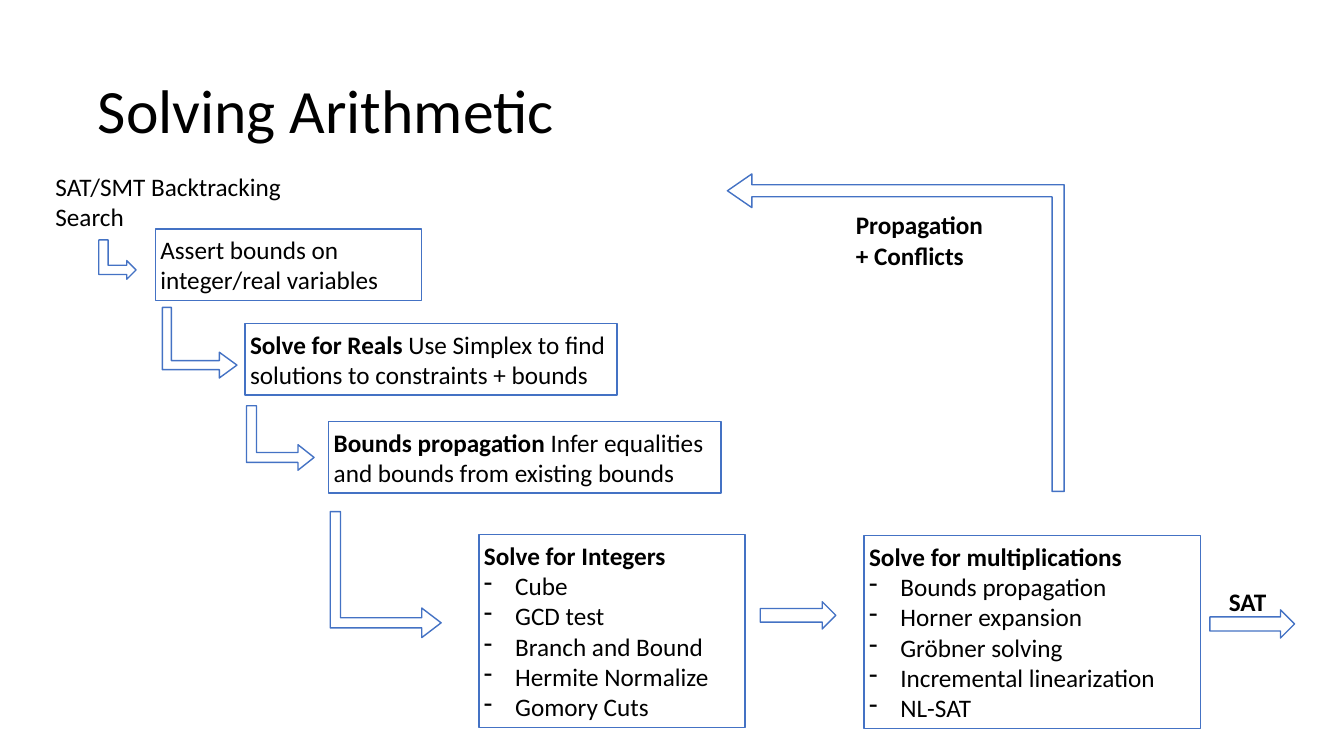
import pptx
import pptx.util
import pptx.dml.color
import pptx.enum.shapes
import pptx.enum.text
import pptx.oxml

BLACK = pptx.dml.color.RGBColor(0x00, 0x00, 0x00)
WHITE = pptx.dml.color.RGBColor(0xFF, 0xFF, 0xFF)
BLUE = pptx.dml.color.RGBColor(0x44, 0x72, 0xC4)
FONT = "Calibri"
KIND = pptx.enum.shapes.MSO_SHAPE
MID = pptx.enum.text.MSO_ANCHOR.MIDDLE
GROW = pptx.enum.text.MSO_AUTO_SIZE.SHAPE_TO_FIT_TEXT

# The grid has square cells, 13.33 across and 7.5 down
COLS, ROWS = 13.33, 7.5
CELL = pptx.util.Inches(1)
INSET, INDENT = 0.05, 0.31
TWO, SIX = 0.71, 1.92  # heights of two and six lines of text

# Steps: left, top, width, height, bold lead, plain rest, bullets
STEPS = [
    (1.54, 2.27, 2.64, TWO, "", "Assert bounds on integer/real variables", []),
    (2.43, 3.21, 3.69, TWO, "Solve for Reals",
     " Use Simplex to find solutions to constraints + bounds", []),
    (3.26, 4.18, 3.89, TWO, "Bounds propagation",
     " Infer equalities and bounds from existing bounds", []),
    (4.75, 5.3, 2.64, SIX, "Solve for Integers", "",
     ["Cube", "GCD test", "Branch and Bound", "Hermite Normalize", "Gomory Cuts"]),
    (8.57, 5.31, 3.34, SIX, "Solve for multiplications", "",
     ["Bounds propagation", "Horner expansion", "Gröbner solving",
      "Incremental linearization", "NL-SAT"]),
]

# Arrows: kind, left, top, width, height, turn, adjustments
BENT, RIGHT = KIND.BENT_UP_ARROW, KIND.RIGHT_ARROW
ARROWS = [
    (BENT, 0.97, 2.39, 0.39, 0.37, 90, ()),
    (BENT, 1.63, 3.03, 0.7, 0.74, 90, (0.128, 0.182, 0.25)),
    (BENT, 2.46, 4.01, 0.64, 0.67, 90, (0.154, 0.198, 0.25)),
    (BENT, 3.2, 5.15, 1.25, 1.1, 90, (0.092, 0.133, 0.175)),
    (RIGHT, 7.54, 5.97, 0.75, 0.27, 0, ()),
    (BENT, 7.31, 1.63, 3.15, 3.34, 270, (0.038, 0.053, 0.077)),
    (RIGHT, 12, 6.05, 0.84, 0.28, 0, ()),
]

# Labels: left, top, width, height, lines, bold, side inset, wrap
LABELS = [
    (0.5, 1.65, 2.4, TWO, ["SAT/SMT Backtracking", "Search"], False, INSET, False),
    (8.39, 2.03, 2.06, TWO, ["Propagation", "+ Conflicts"], True, 0.1, True),
    (12.09, 5.77, 0.84, 0.4, ["SAT"], True, 0.1, True),
]


def span(*cells):
    return [round(n * CELL) for n in cells]


def style(para, size=18, bold=None):
    para.alignment = pptx.enum.text.PP_ALIGN.LEFT
    font = para.font
    font.name, font.size, font.bold = FONT, pptx.util.Pt(size), bold
    font.color.rgb = BLACK


def frame(shape, side=INSET, wrap=True):
    text = shape.text_frame
    text.word_wrap = wrap
    text.margin_left, text.margin_right = span(side, side)
    text.margin_top, text.margin_bottom = span(INSET, INSET)
    return text


def outline(kind, *place):
    shape = slide.shapes.add_shape(kind, *span(*place))
    shape.shadow.inherit = False
    shape.fill.solid()
    shape.fill.fore_color.rgb = WHITE
    shape.line.color.rgb = BLUE
    shape.line.width = pptx.util.Pt(1)
    return shape


def bullet(para):
    props = para._p.get_or_add_pPr()
    gap = span(INDENT)[0]
    props.set("marL", str(gap))
    props.set("indent", str(-gap))
    props.append(pptx.oxml.parse_xml(
        '<a:buChar xmlns:a="http://schemas.openxmlformats.org/drawingml/2006/main"'
        ' char="-"/>'))


deck = pptx.Presentation()
deck.slide_width, deck.slide_height = span(COLS, ROWS)
slide = deck.slides.add_slide(deck.slide_layouts[6])

# Title
title = frame(slide.shapes.add_textbox(*span(0.92, 0.4, 11.5, 1.45)))
title.vertical_anchor = MID
title.text = "Solving Arithmetic"
title.paragraphs[0].line_spacing = 0.9
style(title.paragraphs[0], 44)

# Steps
for *place, lead, rest, items in STEPS:
    text = frame(outline(KIND.RECTANGLE, *place))
    text.vertical_anchor, text.auto_size = MID, GROW
    para = text.paragraphs[0]
    style(para)
    for words, bold in ((lead, True), (rest, False)):
        if words:
            run = para.add_run()
            run.text, run.font.bold = words, bold
    for item in items:
        para = text.add_paragraph()
        para.text = item
        style(para)
        bullet(para)

# Arrows
for kind, *place, turn, adjust in ARROWS:
    arrow = outline(kind, *place)
    arrow.rotation = turn
    for i, share in enumerate(adjust):
        arrow.adjustments[i] = share

# Labels
for *place, lines, bold, side, wrap in LABELS:
    text = frame(slide.shapes.add_textbox(*span(*place)), side, wrap)
    text.auto_size = GROW
    text.text = "\n".join(lines)
    for para in text.paragraphs:
        style(para, bold=bold)

deck.save("out.pptx")
